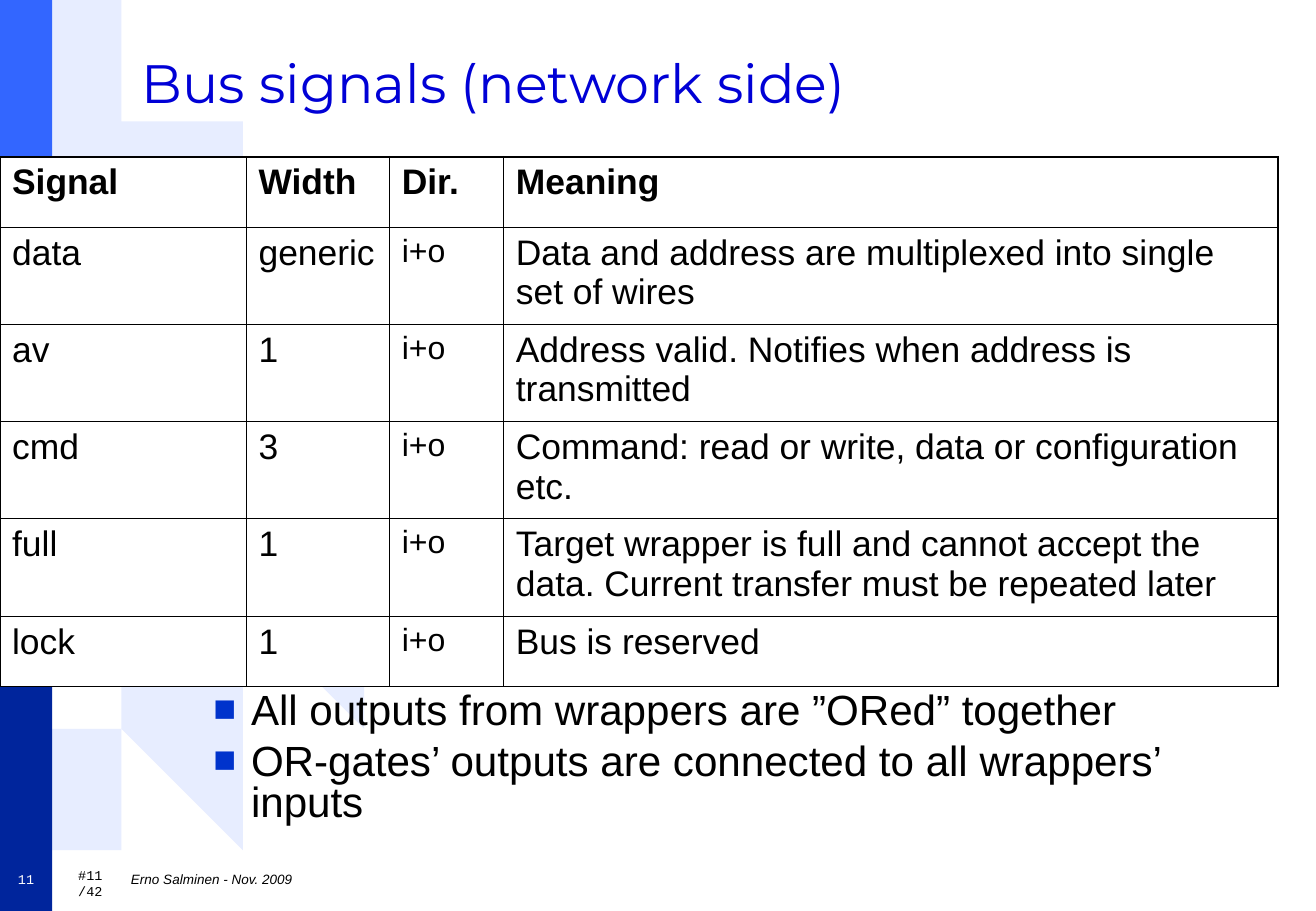
from dataclasses import dataclass
from lxml.etree import SubElement as Sub
from pptx import Presentation
from pptx.dml.color import RGBColor as RGB
from pptx.enum.shapes import MSO_SHAPE as Shape
from pptx.enum.text import MSO_ANCHOR as Anchor, PP_ALIGN as Align
from pptx.oxml.ns import qn
from pptx.util import Inches, Pt


@dataclass(frozen=True)
class Theme:
    paper: str = "FFFFFF"
    ink: str = "000000"
    title: str = "0000D6"
    bullet: str = "0033CC"
    gear: str = "E7EDFF"
    light: str = "3366FF"
    mid: str = "003CFC"
    dark: str = "00259C"
    sans: str = "Arial"
    mono: str = "Courier New"
    display: str = "Montserrat"
    head: float = 32
    body: float = 25
    cell: float = 21
    dir: float = 19
    note: float = 8
    edge: float = 1.08
    rule: float = 0.45


theme = Theme()


def style(para, face, size, color, bold=False, italic=False):
    font = para.font
    font.name, font.size = face, Pt(size)
    font.bold, font.italic = bold, italic
    font.color.rgb = RGB.from_string(color)


def add_text(box, text, anchor=Anchor.MIDDLE, wrap=True):
    """Add a text box and return its first paragraph."""
    frame = slide.shapes.add_textbox(*map(Inches, box)).text_frame
    frame.word_wrap = wrap
    frame.vertical_anchor = anchor
    para = frame.paragraphs[0]
    para.text = text
    return para


deck = Presentation()
deck.slide_width, deck.slide_height = Inches(10.84), Inches(7.5)
slide = deck.slides.add_slide(deck.slide_layouts[6])

# Gear: the upper half, mirrored to give the lower one
upper = [
    (3.7, 3.73), (3.7, 3.59), (3.67, 3.47), (2.86, 3.34), (2.83, 3.2),
    (2.81, 3.05), (2.75, 2.91), (2.73, 2.73), (3.38, 2.27), (3.33, 2.14),
    (3.27, 2.04), (3.2, 1.92), (3.14, 1.8), (2.36, 2.05), (2.25, 1.92),
    (2.15, 1.8), (2.06, 1.69), (1.92, 1.57), (2.32, 0.85), (2.19, 0.77),
    (2.08, 0.7), (1.99, 0.62), (1.86, 0.55), (1.28, 1.12), (1.14, 1.04),
    (1, 0.99), (0.87, 0.93), (0.7, 0.88), (0.7, 0.08), (0.55, 0.05),
    (0.42, 0.03), (0.29, 0.01), (0.14, 0), (0.14, 1.76), (0.28, 1.8),
    (0.42, 1.81), (0.54, 1.86), (0.65, 1.91), (0.78, 1.96), (0.89, 2.01),
    (1, 2.09), (1.11, 2.16), (1.19, 2.26), (1.3, 2.34), (1.39, 2.42),
    (1.47, 2.53), (1.55, 2.64), (1.6, 2.76), (1.67, 2.86), (1.73, 2.99),
    (0, 2.99),
]
tall = 7.49
points = upper + [(x, tall - y) for x, y in reversed(upper)]
pen = slide.shapes.build_freeform(*points[0], scale=Inches(1))
pen.add_line_segments(points[1:])
parts = [(pen.convert_to_shape(), theme.gear)]

# Side bar
for top, height, color in [(0, 3.05, theme.light), (4.46, 3.04, theme.dark),
                           (2.99, 1.49, theme.mid)]:
    bar = slide.shapes.add_shape(Shape.RECTANGLE, 0, Inches(top),
                                 Inches(0.43), Inches(height))
    parts.append((bar, color))

for part, color in parts:
    part.shadow.inherit = False
    part.fill.solid()
    part.fill.fore_color.rgb = RGB.from_string(color)
    part.line.fill.background()

# Page numbers
for left, top, text, color in [(0.53, 7.14, "#11/42", theme.ink),
                               (0, 7.11, "11", theme.paper)]:
    para = add_text((left, top, 0.43, 0.26), text, wrap=False)
    para.alignment = Align.CENTER
    style(para, theme.mono, theme.note, color)

title = add_text((1.07, 0.36, 9.47, 0.63), "Bus signals (network side)",
                 Anchor.BOTTOM)
style(title, theme.display, theme.head, theme.title)

# Bulleted remarks
first = add_text((1.66, 5.66, 8.7, 1.26),
                 "All outputs from wrappers are ”ORed” together", Anchor.TOP)
second = first._parent.add_paragraph()
second.text = "OR-gates’ outputs are connected to all wrappers’ inputs"
second.space_before = Pt(6.2)
for para in (first, second):
    para.line_spacing = 0.8
    props = para._p.get_or_add_pPr()
    props.set("marL", str(Inches(0.31)))
    props.set("indent", str(Inches(-0.31)))
    Sub(Sub(props, qn("a:buClr")), qn("a:srgbClr"), val=theme.bullet)
    Sub(props, qn("a:buSzPct"), val="90000")
    Sub(props, qn("a:buFont"), typeface=theme.sans)
    Sub(props, qn("a:buChar"), char="■")
    style(para, theme.sans, theme.body, theme.ink)

# Signal table
rows = [
    ("Signal", "Width", "Dir.", "Meaning"),
    ("data", "generic", "i+o",
     "Data and address are multiplexed into single set of wires"),
    ("av", "1", "i+o", "Address valid. Notifies when address is transmitted"),
    ("cmd", "3", "i+o", "Command: read or write, data or configuration etc."),
    ("full", "1", "i+o", "Target wrapper is full and cannot accept the data. "
     "Current transfer must be repeated later"),
    ("lock", "1", "i+o", "Bus is reserved"),
]
widths = [2.03, 1.18, 0.94, 6.38]
heights = [0.58, 0.8, 0.8, 0.8, 0.8, 0.58]
table = slide.shapes.add_table(
    len(rows), len(widths), 0, Inches(1.29),
    Inches(sum(widths)), Inches(sum(heights))).table
table.first_row = table.horz_banding = False
for col, width in zip(table.columns, widths):
    col.width = Inches(width)
for r, row in enumerate(rows):
    table.rows[r].height = Inches(heights[r])
    for c, text in enumerate(row):
        cell = table.cell(r, c)
        cell.text = text
        size = theme.dir if r and c == 2 else theme.cell
        style(cell.text_frame.paragraphs[0], theme.sans, size, theme.ink,
              bold=r == 0)
        props = cell._tc.get_or_add_tcPr()
        outer = {"lnL": c == 0, "lnR": c == len(widths) - 1,
                 "lnT": r == 0, "lnB": r == len(rows) - 1}
        for side, edge in outer.items():
            thick = Pt(theme.edge if edge else theme.rule)
            line = Sub(props, qn("a:" + side), w=str(thick))
            Sub(Sub(line, qn("a:solidFill")), qn("a:srgbClr"), val=theme.ink)
        cell.fill.solid()
        cell.fill.fore_color.rgb = RGB.from_string(theme.paper)

footer = add_text((0.98, 7.11, 9.39, 0.26), "Erno Salminen - Nov. 2009")
style(footer, theme.sans, theme.note, theme.ink, italic=True)

deck.save("out.pptx")
